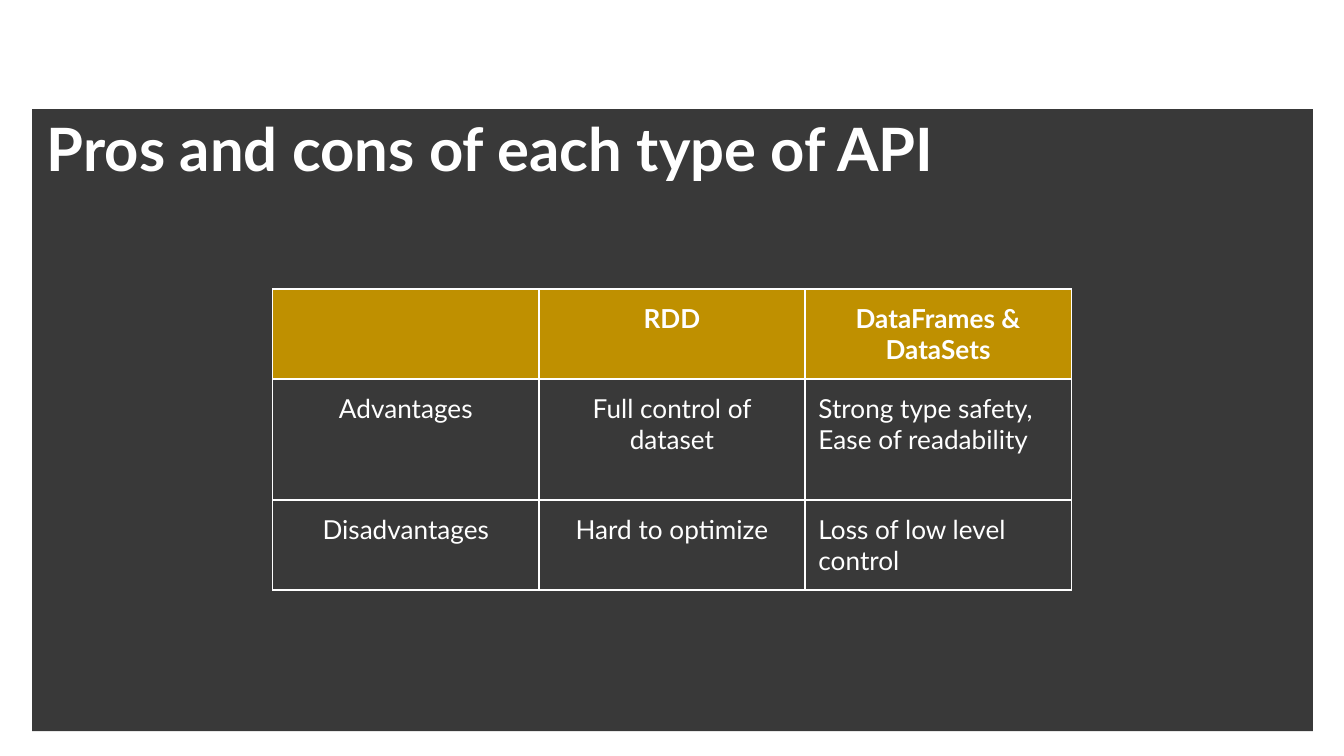
from lxml.etree import SubElement
from pptx import Presentation
from pptx.dml.color import RGBColor
from pptx.enum.shapes import MSO_SHAPE
from pptx.enum.text import MSO_ANCHOR, PP_ALIGN
from pptx.oxml.ns import qn
from pptx.util import Inches, Pt

COLORS = {"white": "FFFFFF", "panel": "393939", "header": "BF9000"}
ROWS = [
    ["", "RDD", "DataFrames & DataSets"],
    ["Advantages", "Full control of dataset", "Strong type safety,\nEase of readability"],
    ["Disadvantages", "Hard to optimize", "Loss of low level control"],
]
ROW_HEIGHTS = [0.67, 0.9, 0.67]


def color(name):
    return RGBColor.from_string(COLORS[name])


def write(frame, text, size=14, bold=False, align=PP_ALIGN.LEFT, font="Lato", ink="white"):
    for index, line in enumerate(text.split("\n")):
        para = frame.add_paragraph() if index else frame.paragraphs[0]
        para.alignment = align
        span = para.add_run()
        span.text = line
        span.font.name = font
        span.font.size = Pt(size)
        span.font.bold = bold
        span.font.color.rgb = color(ink)


class SlideBuilder:
    def __init__(self, page, border="white", border_width=0.75, padding=0.1):
        self.page = page
        self.border = border
        self.border_width = border_width
        self.padding = padding

    def block(self, left, top, width, height, fill):
        shape = self.page.shapes.add_shape(
            MSO_SHAPE.RECTANGLE, Inches(left), Inches(top), Inches(width), Inches(height)
        )
        shape.shadow.inherit = False
        shape.fill.solid()
        shape.fill.fore_color.rgb = color(fill)
        shape.line.fill.background()

    def title(self, left, top, width, height, text):
        box = self.page.shapes.add_textbox(
            Inches(left), Inches(top), Inches(width), Inches(height)
        )
        frame = box.text_frame
        frame.word_wrap = True
        frame.vertical_anchor = MSO_ANCHOR.MIDDLE
        write(frame, text, size=32, bold=True)

    def outline(self, cell):
        properties = cell._tc.get_or_add_tcPr()
        for position, side in enumerate(("lnL", "lnR", "lnT", "lnB")):
            line = properties.makeelement(qn(f"a:{side}"), {"w": str(Pt(self.border_width))})
            properties.insert(position, line)
            fill = SubElement(line, qn("a:solidFill"))
            SubElement(fill, qn("a:srgbClr"), val=COLORS[self.border])

    def table(self, left, top, column_width, row_heights, rows):
        columns = len(rows[0])
        table = self.page.shapes.add_table(
            len(rows), columns, Inches(left), Inches(top),
            Inches(column_width * columns), Inches(sum(row_heights)),
        ).table
        for column in table.columns:
            column.width = Inches(column_width)
        for row_index, values in enumerate(rows):
            table.rows[row_index].height = Inches(row_heights[row_index])
            header = row_index == 0
            for column_index, text in enumerate(values):
                cell = table.cell(row_index, column_index)
                cell.margin_left = cell.margin_right = Inches(self.padding)
                cell.margin_top = cell.margin_bottom = Inches(self.padding)
                if header:
                    cell.fill.solid()
                    cell.fill.fore_color.rgb = color("header")
                else:
                    cell.fill.background()
                self.outline(cell)
                centered = header or column_index < columns - 1
                if text:
                    write(cell.text_frame, text, bold=header,
                          align=PP_ALIGN.CENTER if centered else PP_ALIGN.LEFT)


def main():
    deck = Presentation()
    deck.slide_width = Inches(10)
    deck.slide_height = deck.slide_width * 9 // 16
    page = deck.slides.add_slide(deck.slide_layouts[6])
    builder = SlideBuilder(page)
    builder.block(0.24, 0.19, 9.53, 5.25, "panel")
    builder.block(0.17, 0, 9.67, 0.81, "white")
    builder.title(0.25, 0.81, 9.5, 0.57, "Pros and cons of each type of API")
    builder.table(2.03, 2.15, 1.98, ROW_HEIGHTS, ROWS)
    deck.save("out.pptx")


if __name__ == "__main__":
    main()
